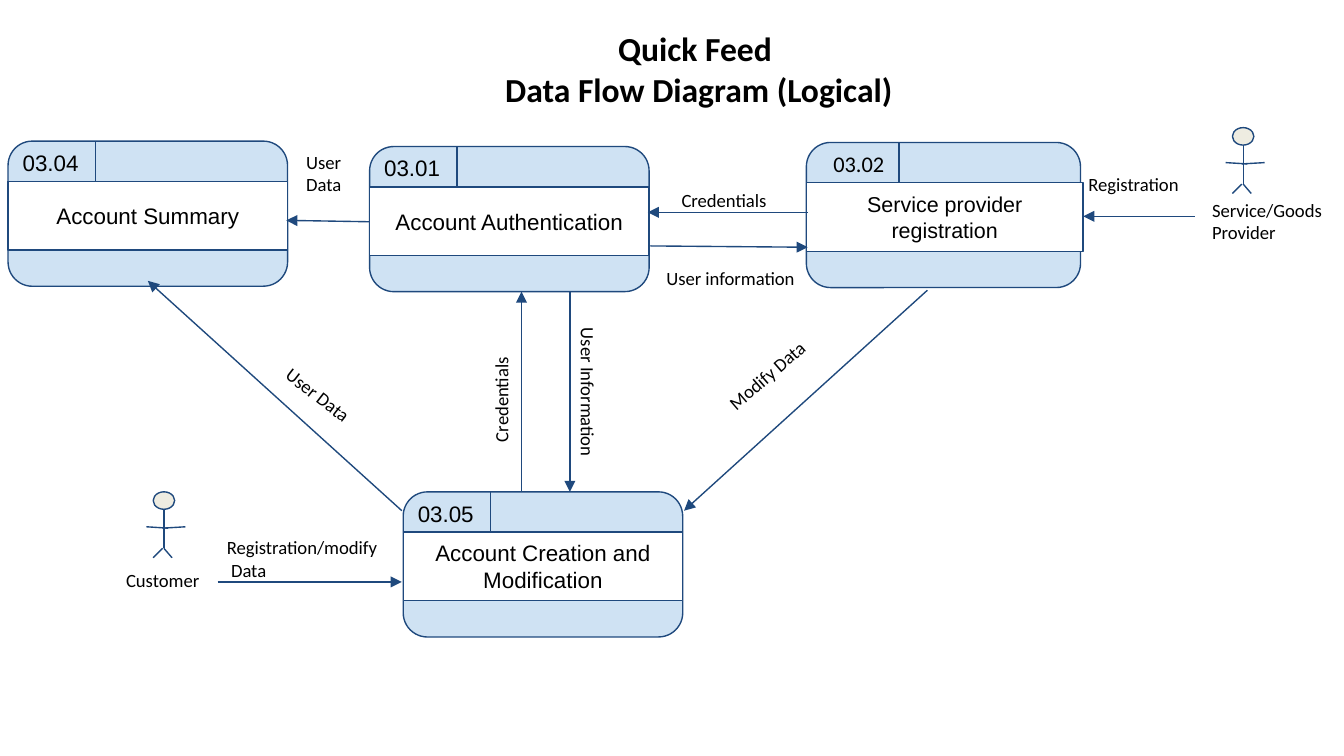
from pptx import Presentation
from pptx.util import Inches, Pt
from pptx.dml.color import RGBColor
from pptx.enum.shapes import MSO_SHAPE as SHAPE, MSO_CONNECTOR as CONN
from pptx.enum.text import PP_ALIGN as AL, MSO_ANCHOR as ANCHOR
from pptx.oxml.ns import qn
from lxml.etree import SubElement

COLORS = {"line": "1F497D", "process": "CFE2F3", "white": "FFFFFF",
          "head": "EEECE1", "text": "000000"}


def rgb(name):
    return RGBColor.from_string(COLORS[name])


def write(s, text, size=10, font="Calibri", bold=False, align=AL.LEFT, anchor=ANCHOR.TOP):
    tf = s.text_frame
    tf.word_wrap = True
    tf.vertical_anchor = anchor
    tf.margin_left = tf.margin_right = tf.margin_top = tf.margin_bottom = Inches(0.1)
    for i, line in enumerate(text.split("\n")):
        p = tf.add_paragraph() if i else tf.paragraphs[0]
        p.alignment = align
        r = p.add_run()
        r.text = line
        r.font.size = Pt(size)
        r.font.name = font
        r.font.bold = bold
        r.font.color.rgb = rgb("text")


def add_label(shapes, text, x, y, w, h, rotation=0, **fmt):
    s = shapes.add_textbox(Inches(x), Inches(y), Inches(w), Inches(h))
    s.rotation = rotation
    write(s, text, **fmt)


def add_box(shapes, kind, x, y, w, h, fill):
    s = shapes.add_shape(kind, Inches(x), Inches(y), Inches(w), Inches(h))
    s.shadow.inherit = False
    s.fill.solid()
    s.fill.fore_color.rgb = rgb(fill)
    s.line.color.rgb = rgb("line")
    s.line.width = Pt(0.75)
    return s


def add_line(shapes, x1, y1, x2, y2, arrow=False):
    s = shapes.add_connector(CONN.STRAIGHT, Inches(x1), Inches(y1), Inches(x2), Inches(y2))
    s.line.color.rgb = rgb("line")
    s.line.width = Pt(0.75)
    if arrow:
        SubElement(s.line._get_or_add_ln(), qn("a:tailEnd"), type="triangle")
    SubElement(s._element.spPr, qn("a:effectLst"))


def add_process(shapes, number, name, x, y, w=2.08, band_w=2.08, tab=0.65,
                num_dx=-0.01, num_font="Arial", size=12):
    group = shapes.add_group_shape().shapes
    body = add_box(group, SHAPE.ROUNDED_RECTANGLE, x, y, w, 1.08, "process")
    body.adjustments[0] = 0.167
    add_label(group, number, x + num_dx, y - 0.04, 0.7, 0.43,
              size=12, font=num_font, align=AL.CENTER)
    band = add_box(group, SHAPE.RECTANGLE, x, y + 0.3, band_w, 0.51, "white")
    write(band, name, size=size, font="Arial", align=AL.CENTER, anchor=ANCHOR.MIDDLE)
    add_line(group, x + tab, y, x + tab, y + 0.3)


def add_actor(shapes, x, y, name, name_dx, name_dy, name_w, name_h):
    add_box(shapes, SHAPE.OVAL, x - 0.08, y, 0.16, 0.13, "head")
    for x1, y1, x2, y2 in [(0, 0.13, 0, 0.42), (-0.01, 0.42, -0.08, 0.49),
                           (0, 0.42, 0.06, 0.49), (-0.01, 0.27, 0.16, 0.26),
                           (0.03, 0.27, -0.13, 0.26)]:
        add_line(shapes, x + x1, y + y1, x + x2, y + y2)
    add_label(shapes, name, x + name_dx, y + name_dy, name_w, name_h)


FLOWS = [
    (4.24, 2.17, 4.24, 3.66), (3.88, 3.66, 3.88, 2.17), (1.62, 4.33, 2.99, 4.33),
    (6.9, 2.16, 5.09, 3.8), (8.89, 1.61, 8.06, 1.61), (2.99, 3.8, 1.1, 2.09),
    (2.75, 1.65, 2.13, 1.64), (6.01, 1.58, 4.82, 1.58), (4.84, 1.83, 6.01, 1.84),
]
FLOW_LABELS = [
    ("Credentials", 3.31, 2.81, 0.89, 0.39, 270, AL.RIGHT),
    ("User Data", 1.96, 2.86, 1.04, 0.34, 37.9, AL.LEFT),
    ("User Information", 3.74, 2.69, 1.22, 0.39, 90, AL.RIGHT),
    ("Modify Data", 5.22, 2.46, 1.37, 0.39, 319.1, AL.LEFT),
    ("Registration/modify \n Data", 1.59, 3.89, 1.37, 0.4, 0, AL.LEFT),
    ("Registration", 8, 1.2, 0.92, 0.34, 0, AL.LEFT),
    ("Credentials", 4.91, 1.32, 0.89, 0.22, 0, AL.RIGHT),
    ("User information", 4.86, 1.9, 1.37, 0.37, 0, AL.LEFT),
    ("User Data", 2.18, 1.02, 0.52, 0.54, 0, AL.LEFT),
]


def add_flows(shapes):
    for flow in FLOWS:
        add_line(shapes, *flow, arrow=True)
    for text, x, y, w, h, rotation, align in FLOW_LABELS:
        add_label(shapes, text, x, y, w, h, rotation, align=align)


prs = Presentation()
prs.slide_width = Inches(10)
prs.slide_height = prs.slide_width * 9 // 16
shapes = prs.slides.add_slide(prs.slide_layouts[6]).shapes

add_label(shapes, "Quick Feed \nData Flow Diagram (Logical)", 2.69, 0.11, 5.02, 0.72,
          size=18, bold=True, align=AL.CENTER)
add_process(shapes, "03.05 ", "Account Creation and Modification", 3, 3.66)
add_process(shapes, "03.01 ", "Account Authentication", 2.75, 1.09)
add_process(shapes, "03.02", "Service provider registration", 6, 1.06, w=2.04, band_w=2.06,
            tab=0.69, num_dx=0.04, num_font="Calibri", size=11.5)
add_process(shapes, "03.04 ", "Account Summary", 0.06, 1.05)
add_flows(shapes)
add_actor(shapes, 1.22, 3.66, "Customer", -0.38, 0.49, 0.83, 0.37)
add_actor(shapes, 9.25, 0.95, "Service/Goods Provider", -0.33, 0.43, 1.03, 0.54)

prs.save("out.pptx")
